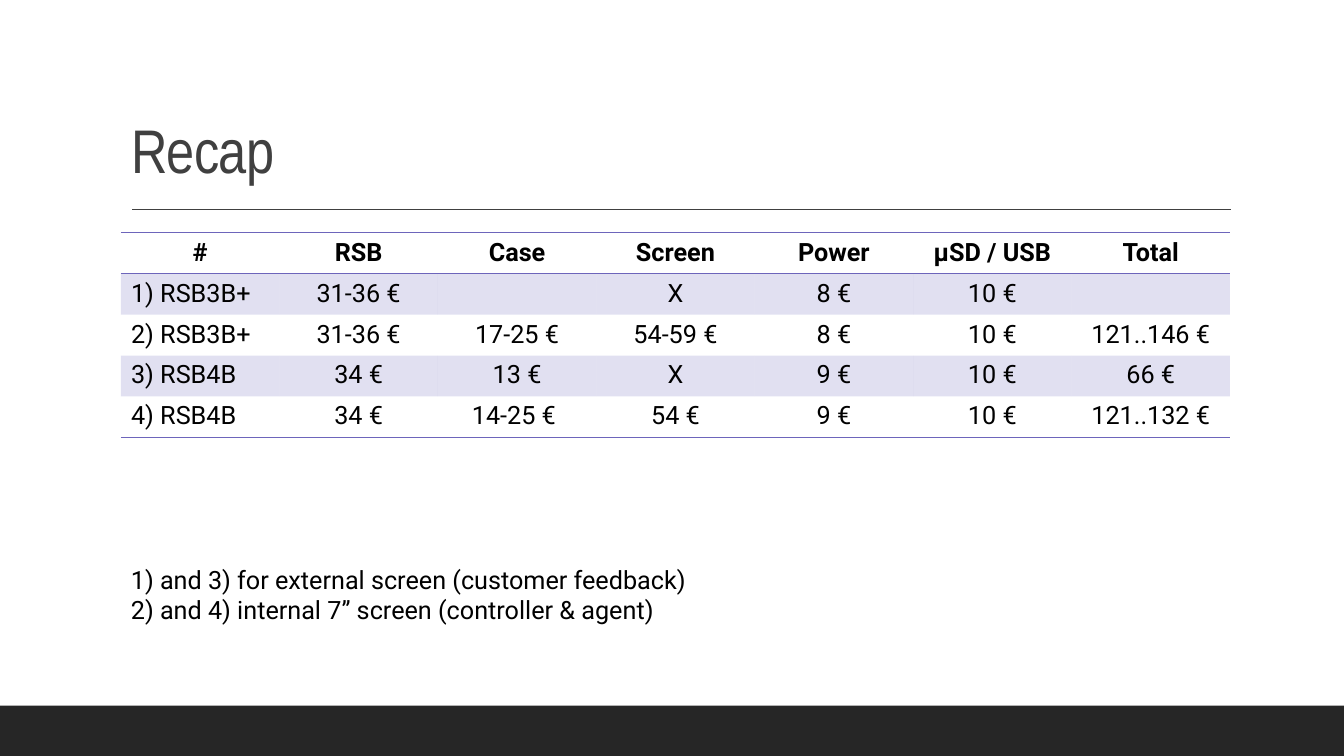
from lxml.etree import SubElement
from pptx import Presentation
from pptx.dml.color import RGBColor
from pptx.enum.shapes import MSO_CONNECTOR, MSO_SHAPE
from pptx.enum.text import MSO_ANCHOR, MSO_AUTO_SIZE, PP_ALIGN
from pptx.oxml.ns import qn
from pptx.util import Inches, Pt

COLORS = {"bar": "262626", "title": "404040", "accent": "6D65BB", "text": "000000"}
TITLE_FONT, BODY_FONT = "Arial Narrow", "Roboto"
NO_STYLE = "{2D5ABB26-0587-4C30-8999-92F81FD0307C}"
BAND_ALPHA = "20000"

PRICES = [
    ["#", "RSB", "Case", "Screen", "Power", "µSD / USB", "Total"],
    ["1) RSB3B+", "31-36 €", "", "X", "8 €", "10 €", ""],
    ["2) RSB3B+", "31-36 €", "17-25 €", "54-59 €", "8 €", "10 €", "121..146 €"],
    ["3) RSB4B", "34 €", "13 €", "X", "9 €", "10 €", "66 €"],
    ["4) RSB4B", "34 €", "14-25 € ", "54 €", "9 €", "10 €", "121..132 €"],
]
NOTES = [
    "1) and 3) for external screen (customer feedback)",
    "2) and 4) internal 7” screen (controller & agent)",
]


def color(name):
    return RGBColor.from_string(COLORS[name])


def format_runs(paragraph, font_name, size, color_name, bold=False):
    for run in paragraph.runs:
        run.font.name = font_name
        run.font.size = Pt(size)
        run.font.bold = bold
        run.font.color.rgb = color(color_name)


def add_footer_bar(slide, left, top, width, height):
    bar = slide.shapes.add_shape(
        MSO_SHAPE.RECTANGLE, Inches(left), Inches(top), Inches(width), Inches(height))
    bar.shadow.inherit = False
    bar.fill.solid()
    bar.fill.fore_color.rgb = color("bar")
    bar.line.fill.background()


def add_title(slide, left, top, width, height):
    title = slide.shapes.title
    title.left, title.top = Inches(left), Inches(top)
    title.width, title.height = Inches(width), Inches(height)
    frame = title.text_frame
    frame.text = "Recap"
    frame.word_wrap = True
    frame.auto_size = MSO_AUTO_SIZE.NONE
    frame.vertical_anchor = MSO_ANCHOR.BOTTOM
    paragraph = frame.paragraphs[0]
    paragraph.alignment = PP_ALIGN.LEFT
    paragraph.line_spacing = 0.9
    format_runs(paragraph, TITLE_FONT, 44, "title")
    paragraph.runs[0].font._element.set("spc", "-50")

    # Rule under the title
    rule_top = Inches(top + height + 0.18)
    rule = slide.shapes.add_connector(
        MSO_CONNECTOR.STRAIGHT, Inches(left + 0.11), rule_top,
        Inches(left + width + 0.01), rule_top)
    rule.line.color.rgb = color("title")
    rule.line.width = Pt(1)
    SubElement(rule._element.spPr, qn("a:effectLst"))


def add_border(cell, side):
    border = SubElement(cell._tc.get_or_add_tcPr(), qn(f"a:{side}"), w=str(Pt(1)))
    fill = SubElement(border, qn("a:solidFill"))
    SubElement(fill, qn("a:srgbClr"), val=COLORS["accent"])


def format_cell(cell, row, column):
    # Borders come before the fill in the cell properties
    if row == 0:
        add_border(cell, "lnT")
    if row in (0, len(PRICES) - 1):
        add_border(cell, "lnB")
    if row % 2:
        cell.fill.solid()
        cell.fill.fore_color.rgb = color("accent")
        tint = cell._tc.tcPr.find(qn("a:solidFill")).find(qn("a:srgbClr"))
        SubElement(tint, qn("a:alpha"), val=BAND_ALPHA)
    else:
        cell.fill.background()
    paragraph = cell.text_frame.paragraphs[0]
    is_label = row > 0 and column == 0
    paragraph.alignment = PP_ALIGN.LEFT if is_label else PP_ALIGN.CENTER
    format_runs(paragraph, BODY_FONT, 18, "text", bold=row == 0)


def add_price_table(slide, left, top, width, height):
    table = slide.shapes.add_table(
        len(PRICES), len(PRICES[0]), Inches(left), Inches(top),
        Inches(width), Inches(height)).table
    table._tbl.tblPr.find(qn("a:tableStyleId")).text = NO_STYLE
    for row, values in enumerate(PRICES):
        for column, value in enumerate(values):
            cell = table.cell(row, column)
            cell.text_frame.text = value
            format_cell(cell, row, column)


def add_notes(slide, left, top, width, height):
    box = slide.shapes.add_textbox(
        Inches(left), Inches(top), Inches(width), Inches(height))
    frame = box.text_frame
    frame.word_wrap = True
    frame.auto_size = MSO_AUTO_SIZE.SHAPE_TO_FIT_TEXT
    frame.text = "\n".join(NOTES)
    for paragraph in frame.paragraphs:
        format_runs(paragraph, BODY_FONT, 18, "text")


def main():
    presentation = Presentation()
    presentation.slide_width = Inches(13.33)
    presentation.slide_height = Inches(7.5)
    slide = presentation.slides.add_slide(presentation.slide_layouts[5])
    add_footer_bar(slide, 0, 7, 13.33, 0.5)
    add_title(slide, 1.2, 0.31, 11, 1.59)
    add_price_table(slide, 1.2, 2.31, 11, 2.03)
    add_notes(slide, 1.2, 5.55, 6.67, 0.71)
    presentation.save("out.pptx")


if __name__ == "__main__":
    main()
